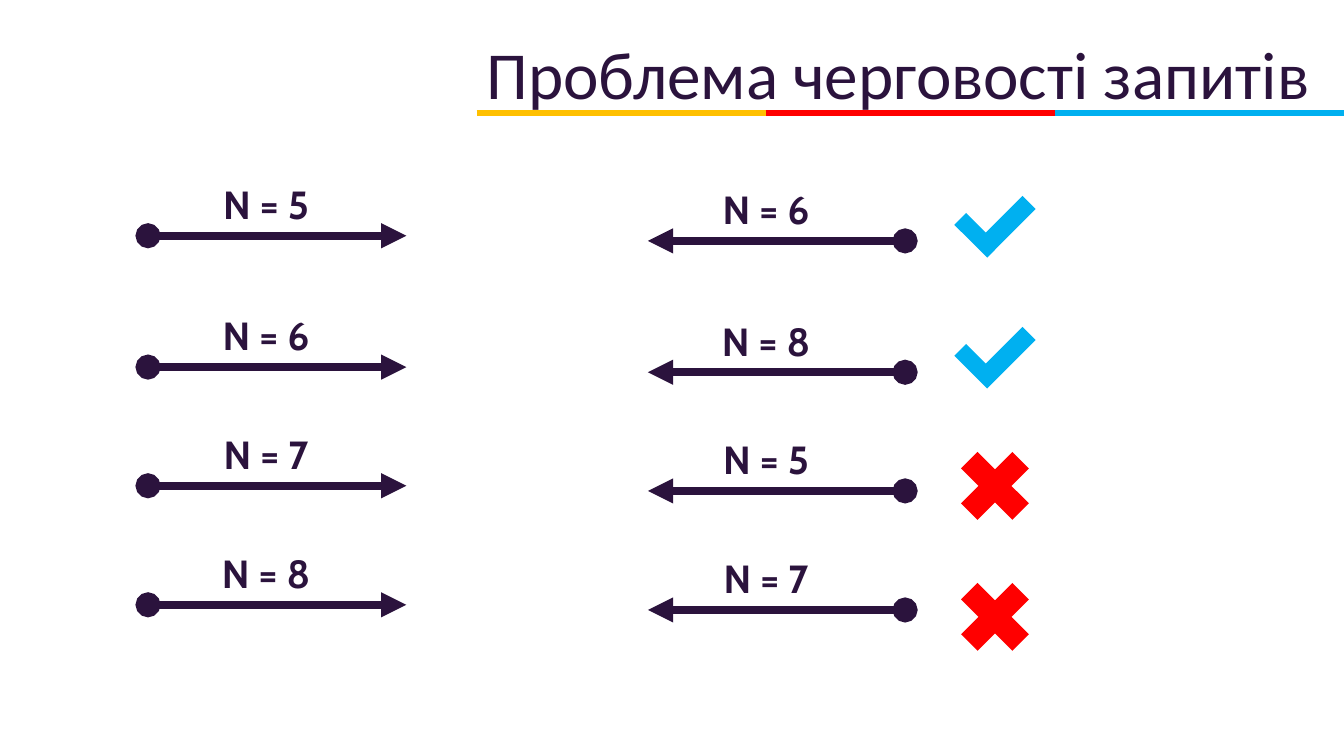
from lxml import etree
from pptx import Presentation
from pptx.dml.color import RGBColor
from pptx.enum.shapes import MSO_CONNECTOR, MSO_SHAPE
from pptx.enum.text import PP_ALIGN
from pptx.oxml.ns import qn
from pptx.util import Cm, Pt

STRAIGHT = MSO_CONNECTOR.STRAIGHT
CORNER = MSO_SHAPE.CORNER
CROSS = MSO_SHAPE.MATH_MULTIPLY
LEFT, CENTER = PP_ALIGN.LEFT, PP_ALIGN.CENTER

SLIDE_WIDTH, SLIDE_HEIGHT = 33.87, 19.05
DARK, YELLOW, RED, BLUE = "2B133D", "FFC000", "FF0000", "00B0F0"

RULE_LEFT, RULE_TOP = 12.01, 2.84
ROW_TOPS = (5.94, 9.25, 12.24, 15.24)
RIGHT_DROP = 0.13
SENT = (5, 6, 7, 8)
RECEIVED = (6, 8, 5, 7)


def color(value):
    return RGBColor.from_string(value)


def add_text(slide, text, left, top, width, height, *, font, size, bold=False, align=LEFT):
    frame = slide.shapes.add_textbox(Cm(left), Cm(top), Cm(width), Cm(height)).text_frame
    frame.word_wrap = True
    paragraph = frame.paragraphs[0]
    paragraph.text = text
    paragraph.alignment = align
    paragraph.font.name = font
    paragraph.font.size = Pt(size)
    paragraph.font.bold = bold
    paragraph.font.color.rgb = color(DARK)


def add_line(slide, start, end, y, line_color, width, arrow=False):
    """Draw a horizontal line; an arrow has a dot at start and a triangle at end."""
    line = slide.shapes.add_connector(STRAIGHT, Cm(start), Cm(y), Cm(end), Cm(y))
    line.line.color.rgb = color(line_color)
    line.line.width = Pt(width)
    if arrow:
        outline = line.line._get_or_add_ln()
        etree.SubElement(outline, qn("a:headEnd"), type="oval")
        etree.SubElement(outline, qn("a:tailEnd"), type="triangle")
    etree.SubElement(line._element.spPr, qn("a:effectLst"))


def add_mark(slide, kind, left, top, width, height, fill):
    mark = slide.shapes.add_shape(kind, Cm(left), Cm(top), Cm(width), Cm(height))
    mark.shadow.inherit = False
    mark.fill.solid()
    mark.fill.fore_color.rgb = color(fill)
    mark.line.fill.background()
    return mark


def add_check(slide, top):
    check = add_mark(slide, CORNER, 24.21, top, 1.73, 1.17, BLUE)
    check.adjustments[0] = 0.4
    check.adjustments[1] = 0.36
    check.rotation = 314.9


def add_cross(slide, top):
    add_mark(slide, CROSS, 23.83, top, 2.49, 2.49, RED)


def add_request(slide, number, label_left, start, end, y):
    add_text(slide, f"N = {number}", label_left, y - 1.52, 7.01, 1.45,
             font="Cabin", size=28, bold=True, align=CENTER)
    add_line(slide, start, end, y, DARK, 6, arrow=True)


def add_title(slide):
    add_text(slide, "Проблема черговості запитів", RULE_LEFT, 0.69, 21.84, 2.31,
             font="Calibri", size=48)
    part = (SLIDE_WIDTH - RULE_LEFT) / 3
    for index, rule_color in enumerate((YELLOW, RED, BLUE)):
        start = RULE_LEFT + index * part
        add_line(slide, start, start + part, RULE_TOP, rule_color, 4.5)


def main():
    presentation = Presentation()
    presentation.slide_width = Cm(SLIDE_WIDTH)
    presentation.slide_height = Cm(SLIDE_HEIGHT)
    slide = presentation.slides.add_slide(presentation.slide_layouts[6])

    add_title(slide)
    for sent, received, y in zip(SENT, RECEIVED, ROW_TOPS):
        add_request(slide, sent, 3.2, 3.73, 10.24, y)
        add_request(slide, received, 15.8, 22.81, 16.33, y + RIGHT_DROP)
    for top in (4.88, 8.18):
        add_check(slide, top)
    for top in (11, 14.3):
        add_cross(slide, top)

    presentation.save("out.pptx")


if __name__ == "__main__":
    main()
